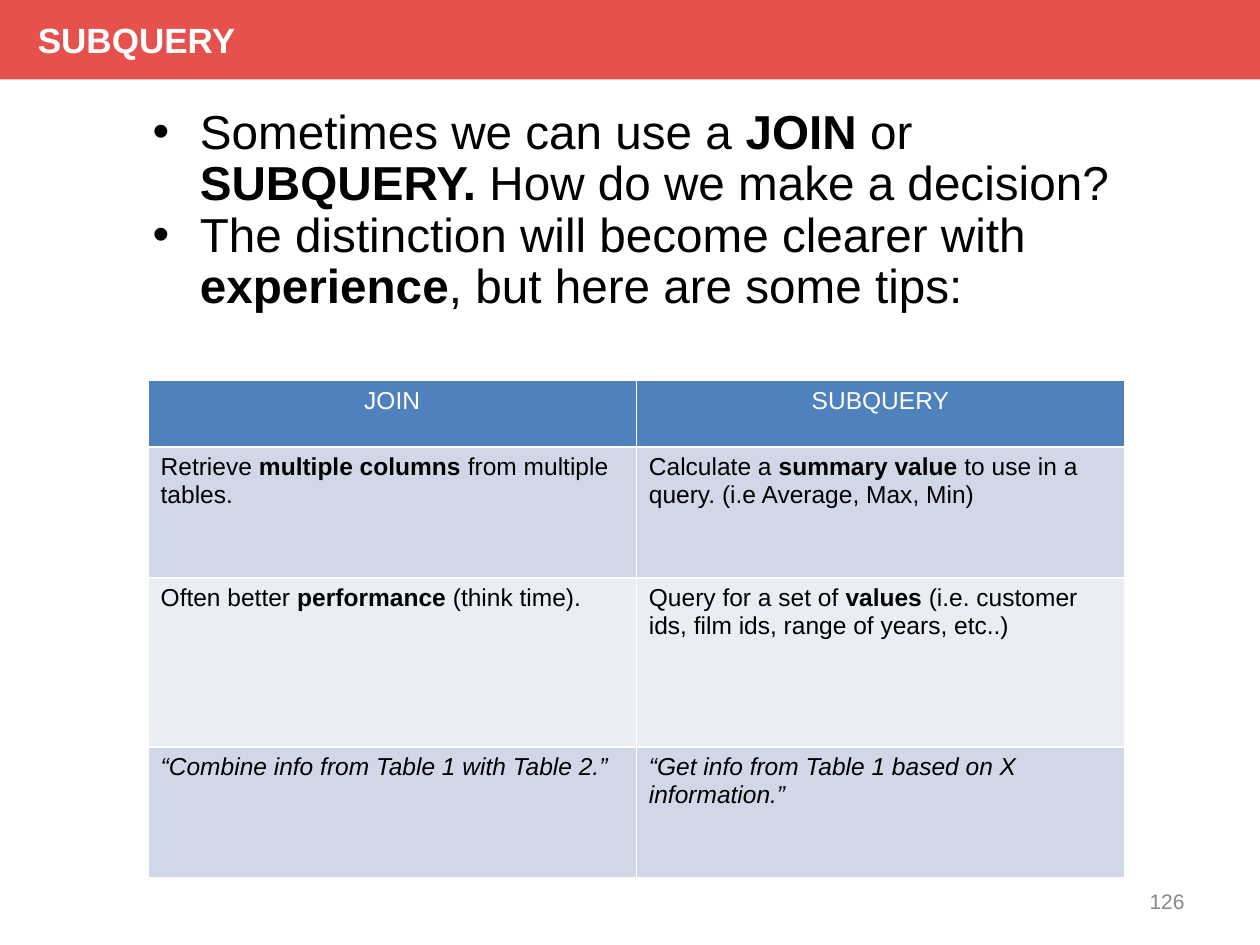
from lxml import etree
from pptx import Presentation
from pptx import util as u
from pptx.dml.color import RGBColor
from pptx.enum import text
from pptx.oxml import ns

Pt = u.Pt
COLORS = {"banner": "E6504D", "white": "FFFFFF", "black": "000000",
          "number": "888888", "header": "4F81BD", "odd": "D0D8E8", "even": "E9EDF4"}
ALIGN = text.PP_ALIGN
TIPS = ["Sometimes we can use a **JOIN** or **SUBQUERY.** How do we make a decision?",
        "The distinction will become clearer with **experience**, but here are some tips:"]
COMPARISON = [
    ("JOIN", "SUBQUERY"),
    ("Retrieve **multiple columns** from multiple tables.",
     "Calculate a **summary value** to use in a query. (i.e Average, Max, Min)"),
    ("Often better **performance** (think time).",
     "Query for a set of **values** (i.e. customer ids, film ids, range of years, etc..)"),
    ("“Combine info from Table 1 with Table 2.”",
     "“Get info from Table 1 based on X information.”"),
]
ROW_HEIGHTS = [38, 75, 96.5, 75]


def color(name):
    """Return the named colour."""
    return RGBColor.from_string(COLORS[name])


def write(para, words, size, ink="black", bold=False, italic=False, align=ALIGN.LEFT):
    """Fill a paragraph, with **marked** parts in bold."""
    para.alignment = align
    para.space_before = para.space_after = Pt(0)
    for index, part in enumerate(words.split("**")):
        if part:
            span = para.add_run()
            span.text = part
            span.font.name = "Arial"
            span.font.size = Pt(size)
            span.font.bold = bold or index % 2 == 1
            span.font.italic = italic
            span.font.color.rgb = color(ink)


def place(shape, left, top, width, height):
    """Move and size a shape in points."""
    shape.left, shape.top = Pt(left), Pt(top)
    shape.width, shape.height = Pt(width), Pt(height)


def frame_of(shape, anchor, inset=7.2):
    """Prepare the text frame of a shape and return it."""
    frame = shape.text_frame
    frame.word_wrap = True
    frame.auto_size = text.MSO_AUTO_SIZE.NONE
    frame.vertical_anchor = anchor
    frame.margin_left, frame.margin_right = Pt(inset), Pt(7.2)
    frame.margin_top = frame.margin_bottom = Pt(3.6)
    return frame


def add_bullet(para, indent):
    """Give a paragraph a round bullet with a hanging indent."""
    props = para._p.get_or_add_pPr()
    props.set("marL", str(Pt(indent)))
    props.set("indent", str(-Pt(indent)))
    tint = etree.SubElement(props, ns.qn("a:buClr"))
    etree.SubElement(tint, ns.qn("a:srgbClr"), val=COLORS["black"])
    etree.SubElement(props, ns.qn("a:buFont"), typeface="Arial")
    etree.SubElement(props, ns.qn("a:buChar"), char="•")


def add_borders(cell, width):
    """Draw white lines on the four sides of a cell."""
    props = cell._tc.get_or_add_tcPr()
    for index, side in enumerate(("lnL", "lnR", "lnT", "lnB")):
        line = etree.Element(ns.qn("a:" + side), w=str(Pt(width)))
        fill = etree.SubElement(line, ns.qn("a:solidFill"))
        etree.SubElement(fill, ns.qn("a:srgbClr"), val=COLORS["white"])
        props.insert(index, line)


def build_banner(page, left, top, width, height):
    """Place the title as a coloured banner."""
    title = page.shapes.title
    place(title, left, top, width, height)
    title.fill.solid()
    title.fill.fore_color.rgb = color("banner")
    frame = frame_of(title, text.MSO_ANCHOR.MIDDLE, inset=21.6)
    write(frame.paragraphs[0], "SUBQUERY", 20, ink="white", bold=True)


def build_tips(page, left, top, width, height):
    """Place the bulleted list in the body placeholder."""
    body = page.placeholders[1]
    place(body, left, top, width, height)
    frame = frame_of(body, text.MSO_ANCHOR.TOP)
    for index, tip in enumerate(TIPS):
        para = frame.add_paragraph() if index else frame.paragraphs[0]
        add_bullet(para, 27)
        write(para, tip, 27.2)
        para.line_spacing = 0.9


def build_comparison(page, left, top, width):
    """Place the table that compares joins and subqueries."""
    table = page.shapes.add_table(len(COMPARISON), 2, Pt(left), Pt(top),
                                  Pt(width), Pt(sum(ROW_HEIGHTS))).table
    for column in table.columns:
        column.width = Pt(width / 2)
    for number, (height, entries) in enumerate(zip(ROW_HEIGHTS, COMPARISON)):
        table.rows[number].height = Pt(height)
        header = number == 0
        shade = "header" if header else "odd" if number % 2 else "even"
        for cell, entry in zip(table.rows[number].cells, entries):
            cell.fill.solid()
            cell.fill.fore_color.rgb = color(shade)
            add_borders(cell, 1)
            write(cell.text_frame.paragraphs[0], entry, 14,
                  ink="white" if header else "black",
                  italic=number == len(COMPARISON) - 1,
                  align=ALIGN.CENTER if header else ALIGN.LEFT)


def build_page_number(page, left, top, width, height):
    """Place the page number at the lower right."""
    box = page.shapes.add_textbox(Pt(left), Pt(top), Pt(width), Pt(height))
    frame = frame_of(box, text.MSO_ANCHOR.MIDDLE)
    write(frame.paragraphs[0], "126", 12, ink="number", align=ALIGN.RIGHT)


def main():
    """Build the deck and save it."""
    deck = Presentation()
    deck.slide_width, deck.slide_height = Pt(720), Pt(540)
    page = deck.slides.add_slide(deck.slide_layouts[1])
    build_banner(page, 0, 0, 720, 45.36)
    build_tips(page, 80, 58.3, 564.5, 168.5)
    build_page_number(page, 516, 500.5, 168, 28.8)
    build_comparison(page, 84.6, 217.4, 558)
    deck.save("out.pptx")


if __name__ == "__main__":
    main()
